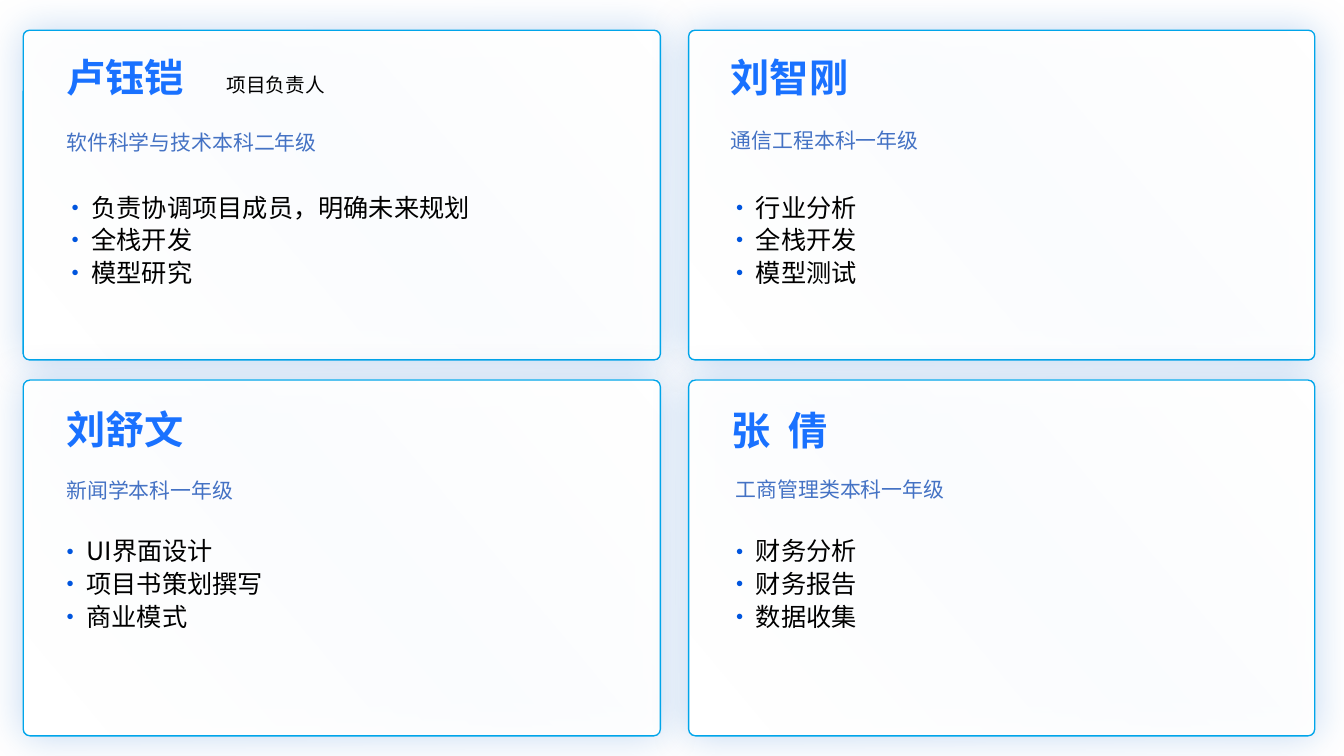
from dataclasses import dataclass
from typing import Any

from pptx import Presentation
from pptx.dml.color import RGBColor
from pptx.enum.shapes import MSO_SHAPE
from pptx.enum.text import MSO_ANCHOR, MSO_AUTO_SIZE
from pptx.oxml import parse_xml
from pptx.oxml.ns import nsdecls
from pptx.util import Inches, Pt

NS = nsdecls("a")
SANS = "Noto Sans CJK JP"
BOLD = "Noto Sans CJK SC"


@dataclass
class Style:
    face: str
    size: float
    color: str
    inset: float
    space: float = 1.0
    bold: bool = False
    fade: str = ""
    dots: bool = False


@dataclass
class Label:
    style: Style
    left: float
    top: float
    width: float
    height: float
    lines: list[str]


@dataclass
class Card:
    left: float
    top: float
    width: float
    height: float
    labels: list[Label]


NAME = Style(BOLD, 28, "1971FF", 0, bold=True, fade="0E419C")
ROLE = Style(BOLD, 14, "000000", 0.05, space=1.3)
MAJOR = Style(SANS, 14.9, "4472C4", 0.02)
TASKS = Style(SANS, 18, "000000", 0.07, space=1.08, dots=True)

CARDS = [
    Card(0.23, 0.3, 6.32, 3.27, [
        Label(NAME, 0.56, 0.53, 2.13, 0.57, ["卢钰铠"]),
        Label(ROLE, 2.15, 0.6, 1.45, 0.45, ["项目负责人"]),
        Label(MAJOR, 0.56, 1.27, 2.99, 0.35, ["软件科学与技术本科二年级"]),
        Label(TASKS, 0.61, 1.81, 4.41, 1.45,
              ["负责协调项目成员，明确未来规划", "全栈开发", "模型研究"]),
    ]),
    Card(6.83, 0.3, 6.21, 3.27, [
        Label(NAME, 7.15, 0.53, 2.07, 0.57, ["刘智刚"]),
        Label(MAJOR, 7.15, 1.25, 2.89, 0.35, ["通信工程本科一年级"]),
        Label(TASKS, 7.2, 1.81, 4.27, 1.45,
              ["行业分析", "全栈开发", "模型测试"]),
    ]),
    Card(0.23, 3.77, 6.32, 3.53, [
        Label(NAME, 0.56, 4.02, 2.19, 0.57, ["刘舒文"]),
        Label(MAJOR, 0.56, 4.72, 3.06, 0.35, ["新闻学本科一年级"]),
        Label(TASKS, 0.56, 5.22, 4.52, 1.56,
              ["UI界面设计", "项目书策划撰写", "商业模式"]),
    ]),
    Card(6.83, 3.77, 6.21, 3.53, [
        Label(NAME, 7.16, 4.03, 2.08, 0.57, ["张  倩"]),
        Label(MAJOR, 7.2, 4.71, 2.91, 0.35, ["工商管理类本科一年级"]),
        Label(TASKS, 7.2, 5.22, 4.3, 1.56,
              ["财务分析", "财务报告", "数据收集"]),
    ]),
]


def paint(color: Any, code: str) -> None:
    color.rgb = RGBColor.from_string(code)


def apply(item: Any, values: dict[str, Any]) -> None:
    for key, value in values.items():
        setattr(item, key, value)


def add_panel(shapes: Any, card: Card) -> None:
    left = card.left + (card.width - card.height) / 2
    top = card.top + (card.height - card.width) / 2
    panel = shapes.add_shape(
        MSO_SHAPE.ROUNDED_RECTANGLE, Inches(left), Inches(top),
        Inches(card.height), Inches(card.width))
    panel.rotation = 270
    panel.adjustments[0] = 0.019
    props = panel._element.spPr
    stops = "".join(
        f'<a:gs pos="{pos}000"><a:srgbClr val="FFFFFF">'
        f'<a:alpha val="{alpha}000"/></a:srgbClr></a:gs>'
        for pos, alpha in [(0, 100), (47, 92), (94, 100)])
    props.append(parse_xml(
        f'<a:gradFill {NS} rotWithShape="1"><a:gsLst>{stops}</a:gsLst>'
        '<a:lin ang="13800000" scaled="0"/></a:gradFill>'))
    paint(panel.line.color, "00A5EA")
    panel.line.width = Pt(0.96)
    props.append(parse_xml(
        f'<a:effectLst {NS}><a:outerShdw blurRad="{Pt(28)}" dist="0" dir="0" '
        'algn="ctr" rotWithShape="0"><a:srgbClr val="1166CD">'
        '<a:alpha val="25000"/></a:srgbClr></a:outerShdw></a:effectLst>'))


def add_dot(para: Any) -> None:
    props = para._p.get_or_add_pPr()
    apply_dent = {"marL": Inches(0.2), "indent": Inches(-0.2)}
    for key, value in apply_dent.items():
        props.set(key, str(value))
    for part in ('buClr {}><a:srgbClr val="0055DE"/></a:buClr>',
                 'buSzPct {} val="50000"/>',
                 'buFont {} typeface="Arial"/>',
                 'buChar {} char="●"/>'):
        props.append(parse_xml("<a:" + part.format(NS)))


def add_label(shapes: Any, label: Label) -> None:
    style = label.style
    box = shapes.add_textbox(
        Inches(label.left), Inches(label.top),
        Inches(label.width), Inches(label.height))
    frame = box.text_frame
    apply(frame, {
        "word_wrap": True,
        "auto_size": MSO_AUTO_SIZE.NONE,
        "vertical_anchor": MSO_ANCHOR.TOP,
        "margin_top": Inches(style.inset),
    })
    for index, line in enumerate(label.lines):
        para = frame.add_paragraph() if index else frame.paragraphs[0]
        if style.dots:
            add_dot(para)
        para.line_spacing = style.space
        run = para.add_run()
        run.text = line
        font = run.font
        apply(font, {"size": Pt(style.size), "bold": style.bold,
                     "name": style.face})
        if style.fade:
            font.fill.gradient()
            font.fill.gradient_angle = 270
            first, last = font.fill.gradient_stops
            paint(first.color, style.color)
            paint(last.color, style.fade)
            last.position = 0.7
        else:
            paint(font.color, style.color)
        latin = font._element.find(
            "{http://schemas.openxmlformats.org/drawingml/2006/main}latin")
        latin.addnext(parse_xml(f'<a:ea {NS} typeface="{style.face}"/>'))


def main() -> None:
    deck = Presentation()
    apply(deck, {"slide_width": Inches(13.33), "slide_height": Inches(7.5)})
    slide = deck.slides.add_slide(deck.slide_layouts[6])
    for card in CARDS:
        shapes = slide.shapes.add_group_shape().shapes
        add_panel(shapes, card)
        for label in card.labels:
            add_label(shapes, label)
    deck.save("out.pptx")


if __name__ == "__main__":
    main()
